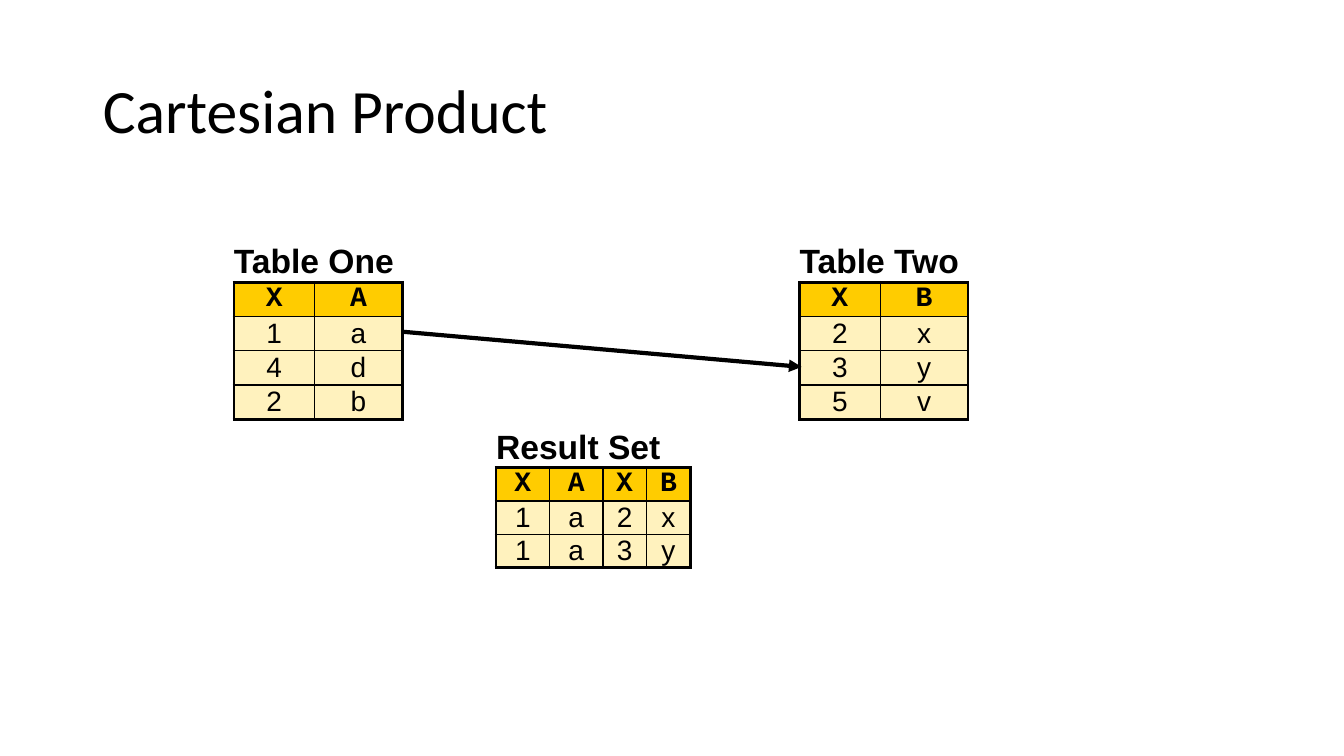
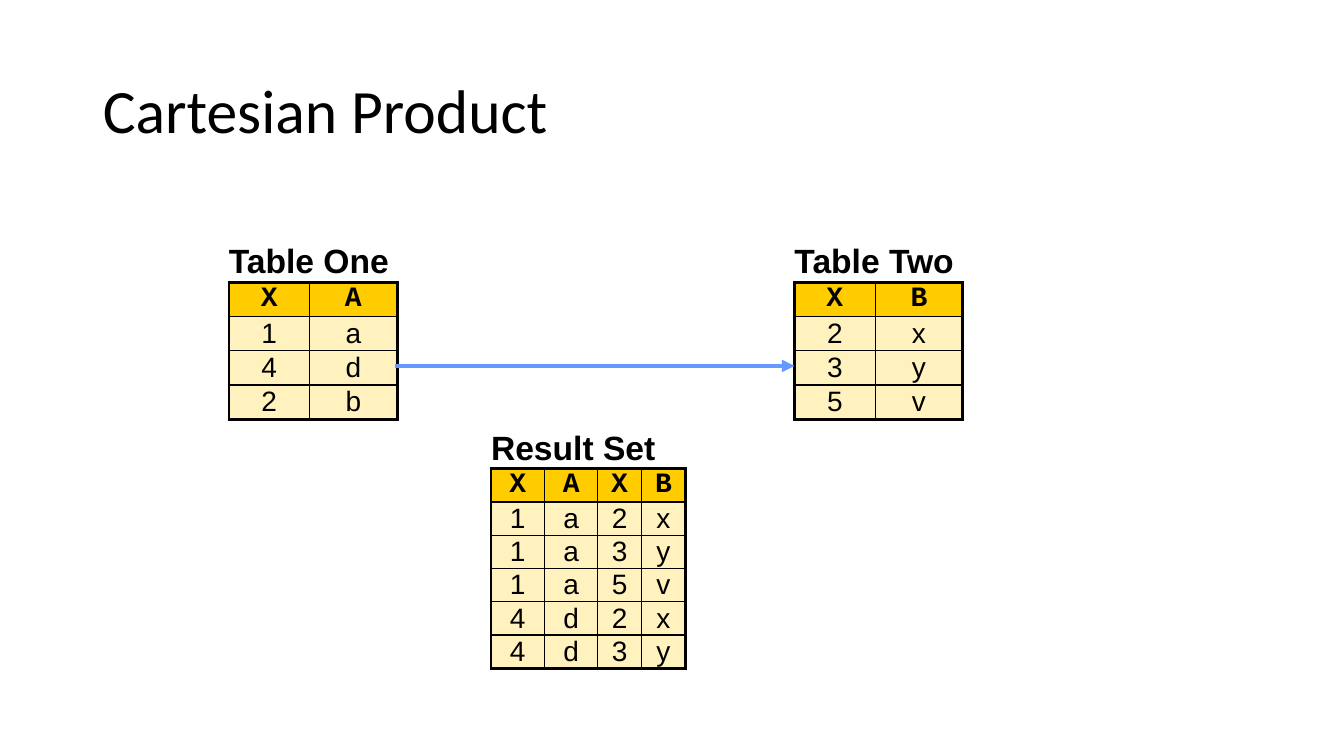
from itertools import product

from lxml import etree
from pptx import Presentation
from pptx import util as u
from pptx.dml import color
from pptx.enum import shapes, text
from pptx.oxml import ns

TITLE = "Cartesian Product"
BLACK, BLUE, GOLD, CREAM = "000000", "6699FF", "FFCC00", "FFF2BE"
THICK, THIN = 2.25, 1
CAPTION_H = 0.4

ONE = [("X", "A"), ("1", "a"), ("4", "d"), ("2", "b")]
TWO = [("X", "B"), ("2", "x"), ("3", "y"), ("5", "v")]
RESULT_HEAD = ONE[0] + TWO[0]
PAIRS = [a + b for a, b in product(ONE[1:], TWO[1:])]

SOURCE_COLS = [0.8, 0.87]
RESULT_COLS = [0.53, 0.53, 0.43, 0.44]

SLIDES = [
    {"shift": 0, "pairs": 2, "result_top": 4.24,
     "arrow": (3.98, 3.29, 7.95, 3.64), "color": BLACK},
    {"shift": -0.05, "pairs": 5, "result_top": 4.25,
     "arrow": (3.92, 3.63, 7.88, 3.63), "color": BLUE},
]


def rgb(value):
    return color.RGBColor.from_string(value)


def add_run(p, content, font, size, bold=False):
    r = p.add_run()
    r.text = content
    r.font.name = font
    r.font.size = u.Pt(size)
    r.font.bold = bold
    r.font.color.rgb = rgb(BLACK)


def set_borders(cell, widths):
    tc_pr = cell._tc.get_or_add_tcPr()
    for side, width in zip("LRTB", widths):
        ln = etree.SubElement(tc_pr, ns.qn(f"a:ln{side}"))
        if width:
            ln.set("w", str(u.Pt(width)))
            fill = etree.SubElement(ln, ns.qn("a:solidFill"))
            etree.SubElement(fill, ns.qn("a:srgbClr")).set("val", BLACK)
        else:
            etree.SubElement(ln, ns.qn("a:noFill"))


def format_cell(cell, margin):
    cell.margin_left = cell.margin_right = u.Inches(margin)
    cell.margin_top = cell.margin_bottom = 0
    cell.vertical_anchor = text.MSO_ANCHOR.MIDDLE


def add_captioned_table(s, caption, rows, left, top, cols, row_h):
    n, m = len(rows), len(cols)
    frame = s.shapes.add_table(n + 1, m, u.Inches(left), u.Inches(top),
                               u.Inches(sum(cols)), u.Inches(CAPTION_H + n * row_h))
    table = frame.table
    table.first_row = table.horz_banding = False
    for column, width in zip(table.columns, cols):
        column.width = u.Inches(width)
    for i, row in enumerate(table.rows):
        row.height = u.Inches(row_h if i else CAPTION_H)

    for j in range(m):
        cell = table.cell(0, j)
        format_cell(cell, 0)
        set_borders(cell, (0, 0, 0, THICK))
        cell.fill.background()
    table.cell(0, 0).merge(table.cell(0, m - 1))
    add_run(table.cell(0, 0).text_frame.paragraphs[0], caption, "Arial", 24, True)

    for i, values in enumerate(rows):
        head = i == 0
        for j, value in enumerate(values):
            cell = table.cell(i + 1, j)
            format_cell(cell, 0.1)
            edges = (j == 0, j == m - 1, head, i == n - 1)
            set_borders(cell, [THICK if edge else THIN for edge in edges])
            cell.fill.solid()
            cell.fill.fore_color.rgb = rgb(GOLD if head else CREAM)
            p = cell.text_frame.paragraphs[0]
            p.alignment = text.PP_ALIGN.CENTER
            add_run(p, value, "Courier New" if head else "Arial", 20, head)


def add_arrow(s, ends, line_color):
    line = s.shapes.add_connector(shapes.MSO_CONNECTOR.STRAIGHT,
                                  *[u.Inches(v) for v in ends])
    line.line.color.rgb = rgb(line_color)
    line.line.width = u.Pt(3)
    etree.SubElement(line.line._get_or_add_ln(), ns.qn("a:tailEnd")).set("type", "triangle")
    etree.SubElement(line._element.spPr, ns.qn("a:effectLst"))


def add_title(s):
    sp = s.shapes.title
    sp.left, sp.top, sp.width, sp.height = [u.Inches(v) for v in (0.92, 0.4, 11.5, 1.45)]
    tf = sp.text_frame
    tf.auto_size = text.MSO_AUTO_SIZE.NONE
    tf.vertical_anchor = text.MSO_ANCHOR.MIDDLE
    p = tf.paragraphs[0]
    p.alignment = text.PP_ALIGN.LEFT
    p.line_spacing = 0.9
    add_run(p, TITLE, "Calibri", 44)


def main():
    prs = Presentation()
    prs.slide_width, prs.slide_height = u.Inches(13.33), u.Inches(7.5)
    for item in SLIDES:
        s = prs.slides.add_slide(prs.slide_layouts[5])
        add_title(s)
        result = [RESULT_HEAD] + PAIRS[:item["pairs"]]
        for caption, rows, left, top, cols, row_h in [
            ("Table One", ONE, 2.32, 2.4, SOURCE_COLS, 0.34),
            ("Table Two", TWO, 7.93, 2.4, SOURCE_COLS, 0.34),
            ("Result Set", result, 4.92, item["result_top"], RESULT_COLS, 0.33),
        ]:
            add_captioned_table(s, caption, rows, left + item["shift"], top, cols, row_h)
        add_arrow(s, item["arrow"], item["color"])
    prs.save("out.pptx")


if __name__ == "__main__":
    main()
